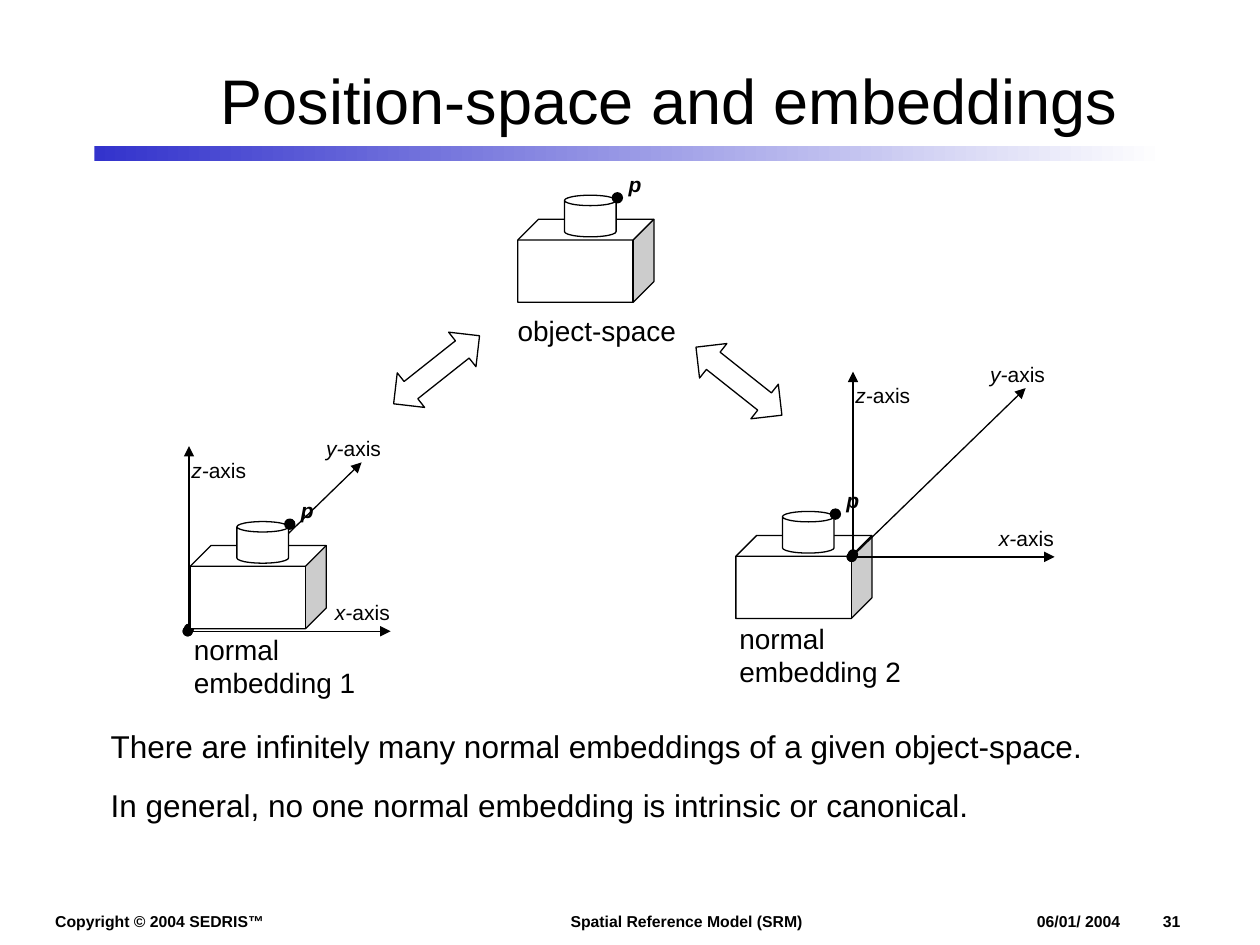
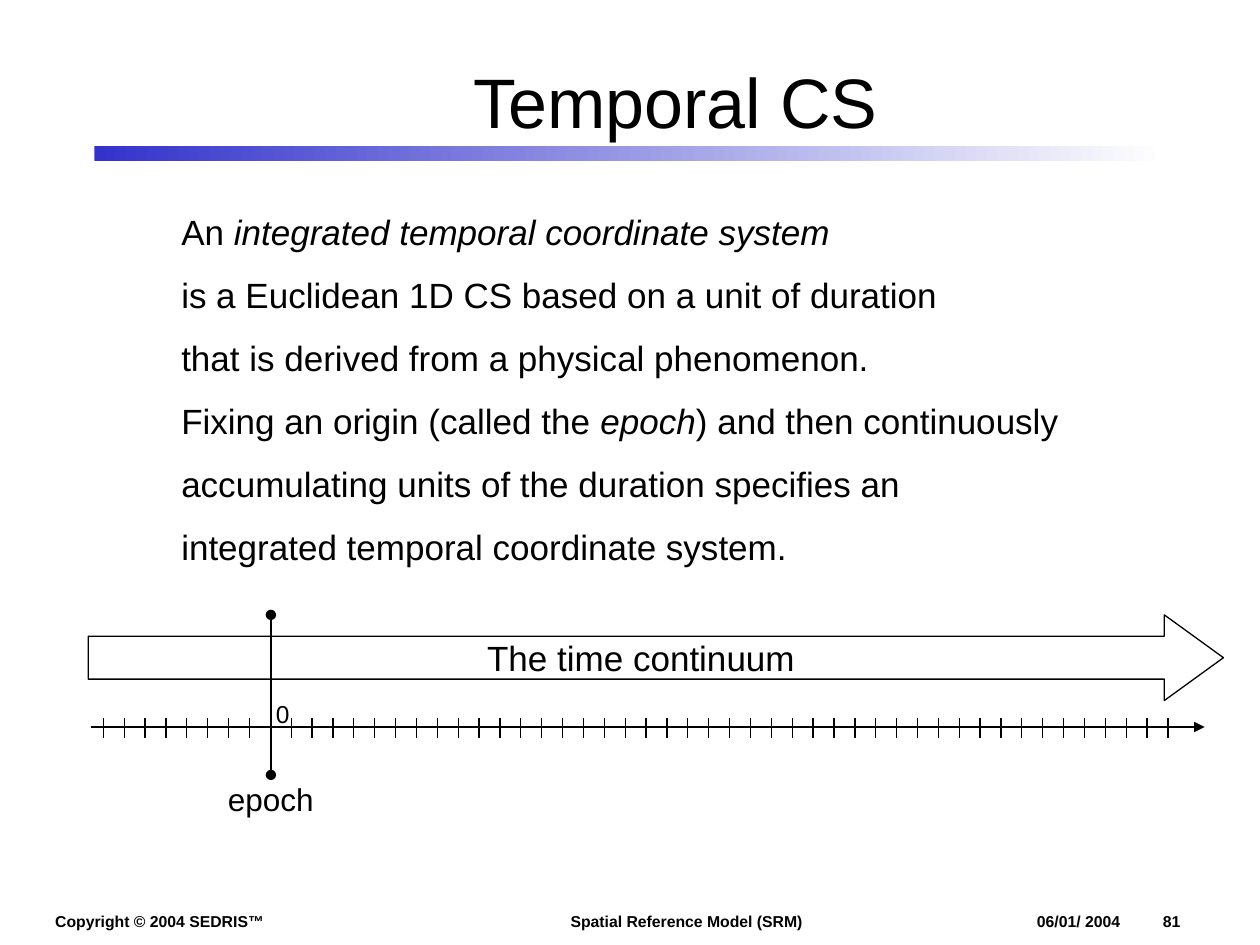
"""Builds two slides on spatial embeddings and temporal coordinate systems."""
from lxml.etree import SubElement
from pptx import Presentation
from pptx.dml.color import RGBColor
from pptx.enum.shapes import MSO_CONNECTOR, MSO_SHAPE
from pptx.enum.text import MSO_ANCHOR, MSO_AUTO_SIZE, PP_ALIGN
from pptx.oxml.ns import qn
from pptx.util import Inches, Pt

BLACK = RGBColor(0x00, 0x00, 0x00)
WHITE = RGBColor(0xFF, 0xFF, 0xFF)
BLUE = RGBColor(0x33, 0x33, 0xCC)
FONT = "Arial"
LINE_WIDTH = Pt(0.75)

FOOTERS = [("Copyright © 2004 SEDRIS™", (0.34, 7.19, 1.86, 0.25)),
           ("Spatial Reference Model (SRM)", (4.43, 7.19, 2.04, 0.25))]
DATE = "06/01/ 2004"

EMBEDDING_TITLE = ("Position-space and embeddings", 36, (1.16, 0.24))
EMBEDDING_NOTES = [
    "There are infinitely many normal embeddings of a given object-space.",
    "In general, no one normal embedding is intrinsic or canonical."]
SOLIDS = [
    {"label": "object-space", "cube": (4.11, 1.74), "label_at": (4.01, 2.44)},
    {"label": "normal embedding 1", "cube": (1.51, 4.33), "label_at": (1.44, 4.97),
     "origin": (1.49, 5.01)},
    {"label": "normal embedding 2", "cube": (5.84, 4.25), "label_at": (5.77, 4.88),
     "origin": (6.76, 4.42), "axes_in_front": True}]
AXES = [("z", (0.01, -0.02), (0.01, -1.47), (-0.07, -1.43)),
        ("x", (0, 0), (1.61, 0), (1.07, -0.3)),
        ("y", (0, 0), (1.38, -1.34), (1, -1.6))]
MAPPING_ARROWS = [(3.29, 2.5, 51.6), (5.69, 2.59, 308.4)]

TEMPORAL_TITLE = ("Temporal CS", 40, (1.21, 0.25))
TEMPORAL_TEXT = [
    "An* integrated temporal coordinate system*",
    "is a Euclidean 1D CS based on a unit of duration",
    "that is derived from a physical phenomenon.",
    "Fixing an origin (called the *epoch*) and then continuously",
    "accumulating units of the duration specifies an",
    "integrated temporal coordinate system."]
TICKS, FIRST_TICK, LAST_TICK = 52, 0.82, 9.27
EPOCH_X, TIMELINE_Y = 2.15, 5.77


def write(tf, lines, size, bold=False, italic=None, align=PP_ALIGN.LEFT, after=0, tab=None):
    """Fill a text frame; asterisks enclose italic parts."""
    for i, line in enumerate(lines):
        p = tf.add_paragraph() if i else tf.paragraphs[0]
        p.alignment = align
        p.space_after = Pt(after)
        if tab:
            tabs = SubElement(p._p.get_or_add_pPr(), qn("a:tabLst"))
            SubElement(tabs, qn("a:tab"), pos=str(Inches(tab)), algn="l")
        f = p.font
        f.name, f.size, f.bold, f.italic = FONT, Pt(size), bold, italic
        f.color.rgb = BLACK
        for j, part in enumerate(line.split("*")):
            if part:
                r = p.add_run()
                r.text = part
                if j % 2:
                    r.font.italic = True


def add_text(s, box, lines, size, wrap=True, grow=False, anchor=MSO_ANCHOR.TOP, **style):
    """Add a text box and return its frame."""
    tf = s.shapes.add_textbox(*map(Inches, box)).text_frame
    tf.word_wrap = wrap
    tf.vertical_anchor = anchor
    if grow:
        tf.auto_size = MSO_AUTO_SIZE.SHAPE_TO_FIT_TEXT
    write(tf, lines, size, **style)
    return tf


def add_outlined(s, kind, box, fill=WHITE, adjustments=()):
    """Add a preset shape with a thin black outline."""
    sp = s.shapes.add_shape(kind, *map(Inches, box))
    sp.shadow.inherit = False
    sp.fill.solid()
    sp.fill.fore_color.rgb = fill
    sp.line.color.rgb = BLACK
    sp.line.width = LINE_WIDTH
    for i, value in enumerate(adjustments):
        sp.adjustments[i] = value
    return sp


def add_line(s, start, end, **ends):
    """Add a thin line; ends may name headEnd and tailEnd types."""
    c = s.shapes.add_connector(MSO_CONNECTOR.STRAIGHT, *map(Inches, (*start, *end)))
    c.line.color.rgb = BLACK
    c.line.width = LINE_WIDTH
    ln = c.line._get_or_add_ln()
    for name in ("headEnd", "tailEnd"):
        if name in ends:
            SubElement(ln, qn("a:" + name), type=ends[name])
    SubElement(c._element.spPr, qn("a:effectLst"))


def add_slide(prs, number, title, size, at):
    """Add a blank slide with footers, gradient band and title."""
    s = prs.slides.add_slide(prs.slide_layouts[6])
    for text, box in FOOTERS:
        add_text(s, box, [text], 9, wrap=False, grow=True, bold=True)
    tf = add_text(s, (8.23, 7.24, 1.44, 0.15), [f"{DATE}\t{number}"], 9, grow=True,
                  anchor=MSO_ANCHOR.BOTTOM, bold=True, tab=1)
    tf.margin_left = tf.margin_top = tf.margin_right = tf.margin_bottom = 0
    band = s.shapes.add_shape(MSO_SHAPE.RECTANGLE, *map(Inches, (0.75, 1.16, 8.5, 0.12)))
    band.shadow.inherit = False
    band.line.fill.background()
    band.fill.gradient()
    band.fill.gradient_angle = 0
    for stop, color, position in zip(band.fill.gradient_stops, (BLUE, WHITE), (0, 1)):
        stop.color.rgb = color
        stop.position = position
    add_text(s, (*at, 8.3, 1.09), [title], size, anchor=MSO_ANCHOR.MIDDLE,
             align=PP_ALIGN.CENTER)
    return s


def add_solid(s, x, y):
    """Draw the block with its cylinder and the point p."""
    add_outlined(s, MSO_SHAPE.CUBE, (x, y, 1.08, 0.66), adjustments=[0.25])
    add_outlined(s, MSO_SHAPE.CAN, (x + 0.37, y - 0.19, 0.41, 0.33), adjustments=[0.25])
    add_outlined(s, MSO_SHAPE.OVAL, (x + 0.75, y - 0.21, 0.08, 0.08), BLACK)
    add_text(s, (x + 0.78, y - 0.43, 0.34, 0.32), ["p"], 12, bold=True, italic=True)


def add_axes(s, x, y):
    """Draw three labelled axes from an origin."""
    for name, (x1, y1), (x2, y2), (dx, dy) in AXES:
        add_line(s, (x + x1, y + y1), (x + x2, y + y2), headEnd="oval", tailEnd="triangle")
        add_text(s, (x + dx, y + dy, 0.71, 0.32), [f"*{name}-*axis"], 12)


def build_embeddings(prs):
    """Slide with an object-space and two embeddings."""
    s = add_slide(prs, 31, *EMBEDDING_TITLE)
    for solid in SOLIDS:
        in_front = solid.get("axes_in_front", False)
        if "origin" in solid and not in_front:
            add_axes(s, *solid["origin"])
        add_solid(s, *solid["cube"])
        if in_front:
            add_axes(s, *solid["origin"])
        add_text(s, (*solid["label_at"], 1.88, 0.32), [solid["label"]], 16)
    for x, y, angle in MAPPING_ARROWS:
        arrow = add_outlined(s, MSO_SHAPE.UP_DOWN_ARROW, (x, y, 0.35, 0.87),
                             adjustments=[0.5, 0.5])
        arrow.rotation = angle
    add_text(s, (0.78, 5.72, 8.43, 1.03), EMBEDDING_NOTES, 18, grow=True, after=12)


def build_temporal(prs):
    """Slide with the definition and a time line."""
    s = add_slide(prs, 81, *TEMPORAL_TITLE)
    add_text(s, (1.34, 1.62, 7.22, 3.1), TEMPORAL_TEXT, 20, wrap=False, grow=True, after=12)
    arrow = add_outlined(s, MSO_SHAPE.RIGHT_ARROW, (0.7, 4.88, 9.01, 0.68),
                         adjustments=[0.5, 0.69])
    tf = arrow.text_frame
    tf.word_wrap = False
    tf.vertical_anchor = MSO_ANCHOR.MIDDLE
    write(tf, ["The time continuum"], 20, align=PP_ALIGN.CENTER)
    add_line(s, (EPOCH_X, 4.88), (EPOCH_X, 6.15), headEnd="oval", tailEnd="oval")
    add_text(s, (1.71, 6.14, 0.88, 0.4), ["epoch"], 18, wrap=False, grow=True)
    add_line(s, (0.72, TIMELINE_Y), (9.56, TIMELINE_Y), tailEnd="triangle")
    add_text(s, (2.09, 5.5, 0.31, 0.33), ["0"], 14, wrap=False, grow=True)
    step = (LAST_TICK - FIRST_TICK) / (TICKS - 1)
    for i in range(TICKS):
        x = FIRST_TICK + i * step
        add_line(s, (x, TIMELINE_Y - 0.07), (x, TIMELINE_Y + 0.09))


def main():
    """Build and save the deck."""
    prs = Presentation()
    prs.slide_width, prs.slide_height = Inches(10), Inches(7.5)
    build_embeddings(prs)
    build_temporal(prs)
    prs.save("out.pptx")


if __name__ == "__main__":
    main()
